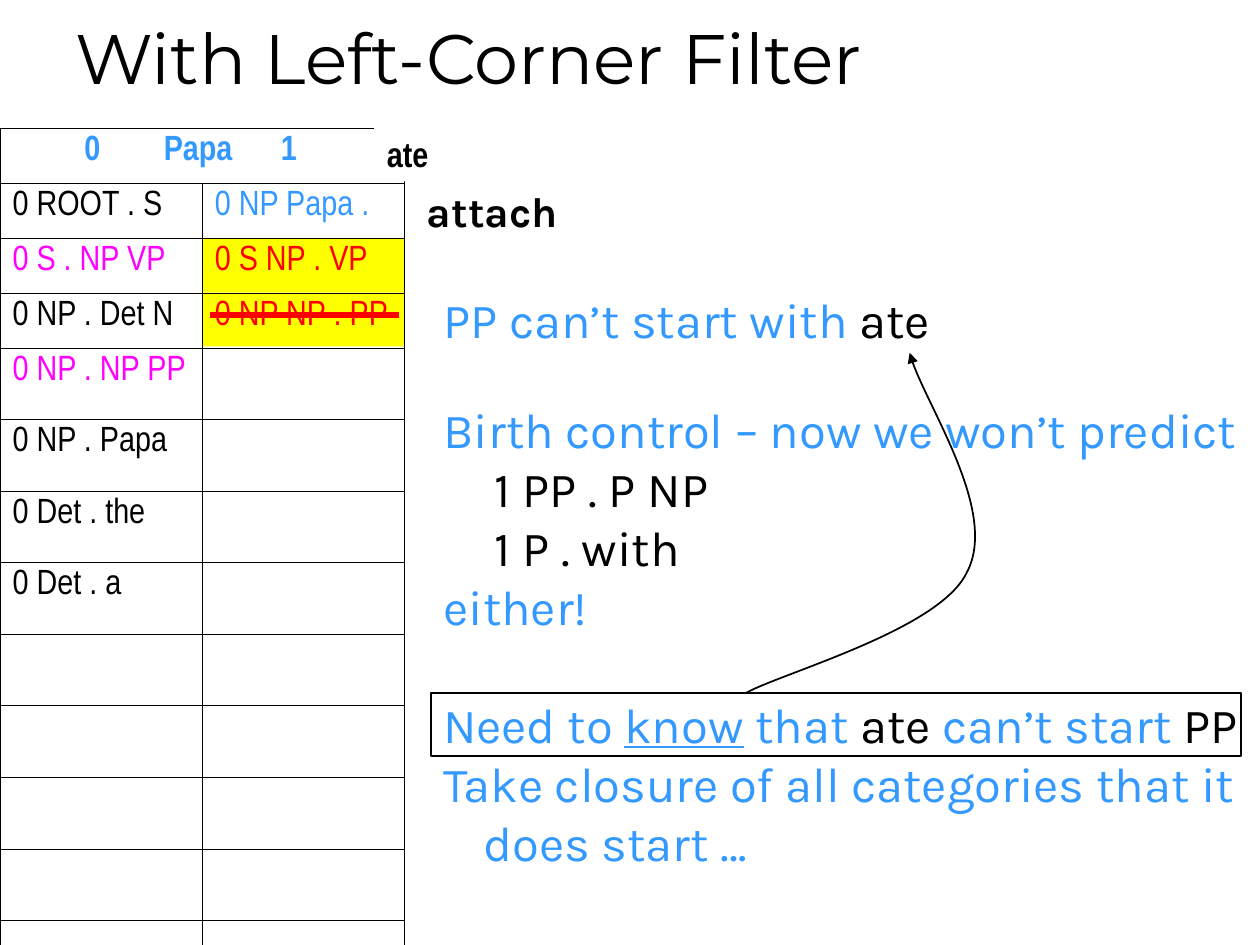
from dataclasses import dataclass

import pptx
import pptx.dml.color
import pptx.enum.shapes
import pptx.enum.text
import pptx.oxml
import pptx.oxml.ns
import pptx.util
from pptx.util import Inches

qn = pptx.oxml.ns.qn
MSO_SHAPE = pptx.enum.shapes.MSO_SHAPE


@dataclass(frozen=True)
class Theme:
    black: str = "000000"
    white: str = "FFFFFF"
    blue: str = "3399FF"
    magenta: str = "FF00FF"
    red: str = "FF0000"
    yellow: str = "FFFF00"
    title_font: str = "Montserrat"
    body_font: str = "Karla"
    chart_font: str = "Arial Narrow"
    title_size: float = 40
    body_size: float = 28
    label_size: float = 24
    chart_size: float = 20
    thin: float = 0.45
    thick: float = 1.08


T = Theme()


@dataclass(frozen=True)
class Run:
    text: str
    color: str = T.black
    underline: bool = False


@dataclass(frozen=True)
class Line:
    runs: tuple[Run, ...]
    margin: float = 0.32
    indent: float = -0.32
    before: float = 0


@dataclass(frozen=True)
class Box:
    left: float
    top: float
    width: float
    height: float

    def emu(self) -> tuple:
        return tuple(Inches(v) for v in (self.left, self.top, self.width, self.height))


EARLEY_ROWS = [
    (Run("0 ROOT . S"), Run("0 NP Papa .", T.blue)),
    (Run("0 S . NP VP", T.magenta), Run("0 S NP . VP", T.red)),
    (Run("0 NP . Det N"), Run("0 NP NP . PP", T.red)),
    (Run("0 NP . NP PP", T.magenta),),
    (Run("0 NP . Papa"),),
    (Run("0 Det . the"),),
    (Run("0 Det . a"),),
]
ROW_COUNT = 15
SHORT_ROWS = 4

EXPLANATION = [
    Line((Run("PP can’t start with ", T.blue), Run("ate"))),
    Line((Run("Birth control – now we won’t predict", T.blue),), before=29.4),
    Line((Run("1 PP . P NP"),), margin=0.41, indent=0),
    Line((Run("1 P . with"),), margin=0.41, indent=0),
    Line((Run("either!", T.blue),)),
    Line((Run("Need to ", T.blue), Run("know", T.blue, True), Run(" that ", T.blue),
          Run("ate"), Run(" can’t start ", T.blue), Run("PP")), before=34),
    Line((Run("Take closure of all categories that it does start …", T.blue),)),
]


def rgb(color: str):
    return pptx.dml.color.RGBColor.from_string(color)


def add_run(p, run: Run, font: str, size: float, bold: bool = False) -> None:
    r = p.add_run()
    r.text = run.text
    r.font.name = font
    r.font.size = pptx.util.Pt(size)
    r.font.bold = bold
    r.font.color.rgb = rgb(run.color)
    if run.underline:
        r.font.underline = True


def add_rect(slide, box: Box, fill: str | None = None, line: str | None = None):
    sp = slide.shapes.add_shape(MSO_SHAPE.RECTANGLE, *box.emu())
    sp.shadow.inherit = False
    if fill:
        sp.fill.solid()
        sp.fill.fore_color.rgb = rgb(fill)
    else:
        sp.fill.background()
    if line:
        sp.line.color.rgb = rgb(line)
        sp.line.width = pptx.util.Pt(1)
    else:
        sp.line.fill.background()
    return sp


def set_borders(cell, **widths: float) -> None:
    """Draw black borders; keys are the sides L, R, T and B, in that order."""
    tc_pr = cell._tc.get_or_add_tcPr()
    for side, width in widths.items():
        tc_pr.append(pptx.oxml.parse_xml(
            f'<a:ln{side} {pptx.oxml.ns.nsdecls("a")} w="{pptx.util.Pt(width)}">'
            f'<a:solidFill><a:srgbClr val="{T.black}"/></a:solidFill></a:ln{side}>'))
    cell.fill.background()


def add_tabs(p, *stops: float) -> None:
    tabs = "".join(f'<a:tab pos="{Inches(s)}" algn="l"/>' for s in stops)
    p._p.get_or_add_pPr().append(pptx.oxml.parse_xml(
        f'<a:tabLst {pptx.oxml.ns.nsdecls("a")}>{tabs}</a:tabLst>'))


def add_parse_chart(slide) -> None:
    table = slide.shapes.add_table(ROW_COUNT, 2, *Box(0, 1.02, 3.21, 6.5).emu()).table
    table.first_row = table.horz_banding = False
    for i, row in enumerate(table.rows):
        row.height = Inches(0.436 if i < SHORT_ROWS else 0.568)
        for j, cell in enumerate(row.cells):
            set_borders(cell,
                        L=T.thin if j else T.thick,
                        R=T.thick if j or i == 0 else T.thin,
                        T=T.thin if i else T.thick,
                        B=T.thick if i == ROW_COUNT - 1 else T.thin)
    table.cell(0, 0).merge(table.cell(0, 1))
    p = table.cell(0, 0).text_frame.paragraphs[0]
    add_tabs(p, 0.57, 1.2, 2.13)
    add_run(p, Run("\t0\tPapa\t1", T.blue), T.chart_font, T.chart_size, True)
    for i, entries in enumerate(EARLEY_ROWS, 1):
        for j, entry in enumerate(entries):
            p = table.cell(i, j).text_frame.paragraphs[0]
            add_run(p, entry, T.chart_font, T.chart_size)


def add_explanation(slide) -> None:
    tf = slide.shapes.add_textbox(*Box(3.42, 2.25, 6.55, 6.11).emu()).text_frame
    tf.word_wrap = True
    for i, line in enumerate(EXPLANATION):
        p = tf.add_paragraph() if i else tf.paragraphs[0]
        p_pr = p._p.get_or_add_pPr()
        p_pr.set("marL", str(Inches(line.margin)))
        p_pr.set("indent", str(Inches(line.indent)))
        if line.before:
            p.space_before = pptx.util.Pt(line.before)
        for run in line.runs:
            add_run(p, run, T.body_font, T.body_size)


def add_curved_arrow(slide, points: list[tuple[float, float]]) -> None:
    """Draw a start point followed by cubic segments of three points each."""
    start, *rest = [(Inches(x), Inches(y)) for x, y in points]
    builder = slide.shapes.build_freeform(*start)
    builder.add_line_segments(rest, close=False)
    sp = builder.convert_to_shape()
    sp.shadow.inherit = False
    sp.fill.background()
    sp.line.color.rgb = rgb(T.black)
    sp.line.width = pptx.util.Pt(1)
    path = next(sp._element.iter(qn("a:path")))
    steps = path.findall(qn("a:lnTo"))
    for k in range(0, len(steps), 3):
        curve = path.makeelement(qn("a:cubicBezTo"))
        path.append(curve)
        for step in steps[k:k + 3]:
            curve.append(step[0])
            path.remove(step)
    sp.line._get_or_add_ln().append(pptx.oxml.parse_xml(
        f'<a:tailEnd {pptx.oxml.ns.nsdecls("a")} type="triangle"/>'))


def add_title(slide) -> None:
    title = slide.shapes.title
    title.left, title.top, title.width, title.height = Box(0.5, -0.42, 8.5, 1.25).emu()
    tf = title.text_frame
    tf.auto_size = pptx.enum.text.MSO_AUTO_SIZE.NONE
    tf.vertical_anchor = pptx.enum.text.MSO_ANCHOR.BOTTOM
    p = tf.paragraphs[0]
    p.alignment = pptx.enum.text.PP_ALIGN.LEFT
    add_run(p, Run("With Left-Corner Filter"), T.title_font, T.title_size)


def main() -> None:
    prs = pptx.Presentation()
    prs.slide_width, prs.slide_height = Inches(10), Inches(7.5)
    slide = prs.slides.add_slide(prs.slide_layouts[5])
    add_title(slide)

    for top in (1.89, 2.32):
        add_rect(slide, Box(1.61, top, 1.6, 0.43), fill=T.yellow)
    add_parse_chart(slide)

    tf = slide.shapes.add_textbox(*Box(3.29, 1.42, 1.28, 0.5).emu()).text_frame
    tf.word_wrap = False
    add_run(tf.paragraphs[0], Run("attach"), T.body_font, T.label_size, True)

    tf = add_rect(slide, Box(2.97, 1, 0.53, 0.44), fill=T.white).text_frame
    tf.word_wrap = False
    tf.paragraphs[0].alignment = pptx.enum.text.PP_ALIGN.CENTER
    add_run(tf.paragraphs[0], Run("ate"), T.chart_font, T.chart_size, True)

    strike = slide.shapes.add_connector(
        pptx.enum.shapes.MSO_CONNECTOR.STRAIGHT,
        Inches(1.67), Inches(2.5), Inches(3.17), Inches(2.5))
    strike.line.color.rgb = rgb(T.red)
    strike.line.width = pptx.util.Pt(3)
    sp_pr = strike._element.spPr
    sp_pr.append(sp_pr.makeelement(qn("a:effectLst")))

    add_explanation(slide)
    add_curved_arrow(slide, [(5.92, 5.5), (6.21, 5.34), (7.45, 5), (7.67, 4.55),
                             (7.93, 4.08), (7.31, 3.16), (7.22, 2.8)])
    add_rect(slide, Box(3.42, 5.5, 6.43, 0.5), line=T.black)
    prs.save("out.pptx")


if __name__ == "__main__":
    main()
